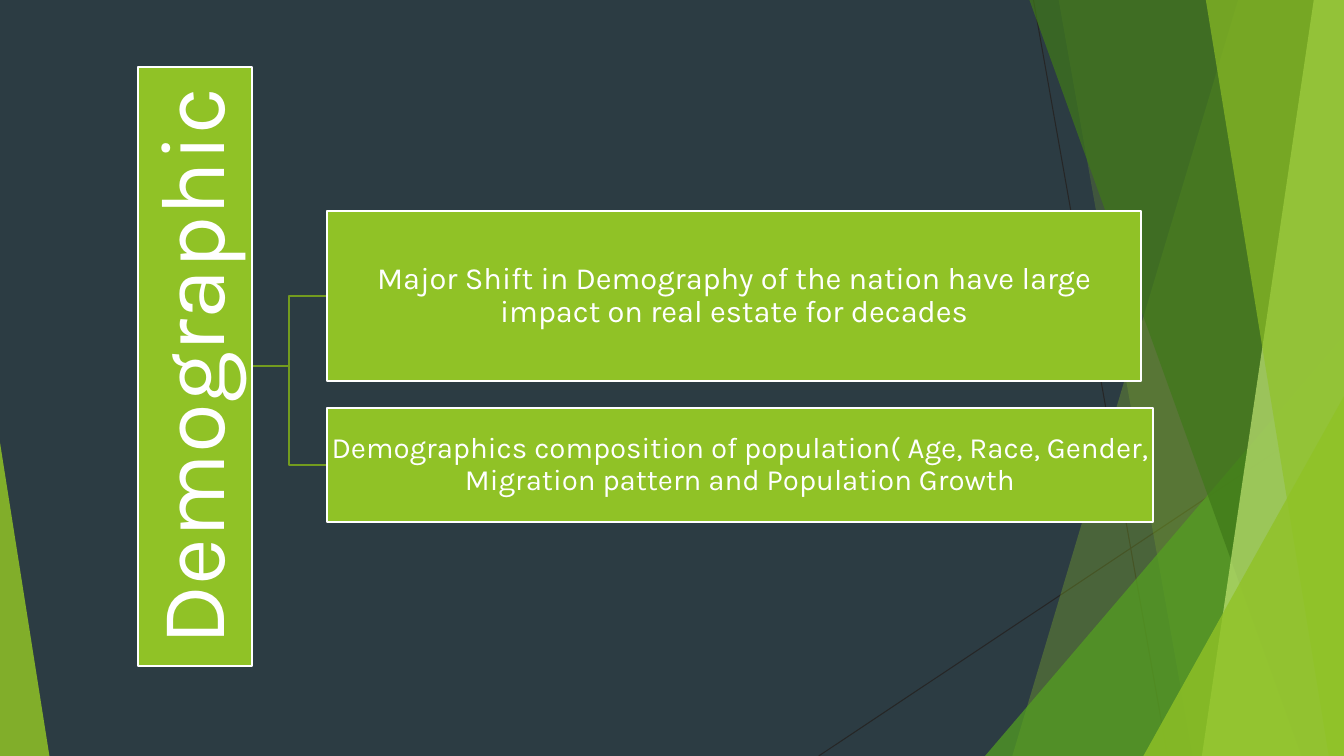
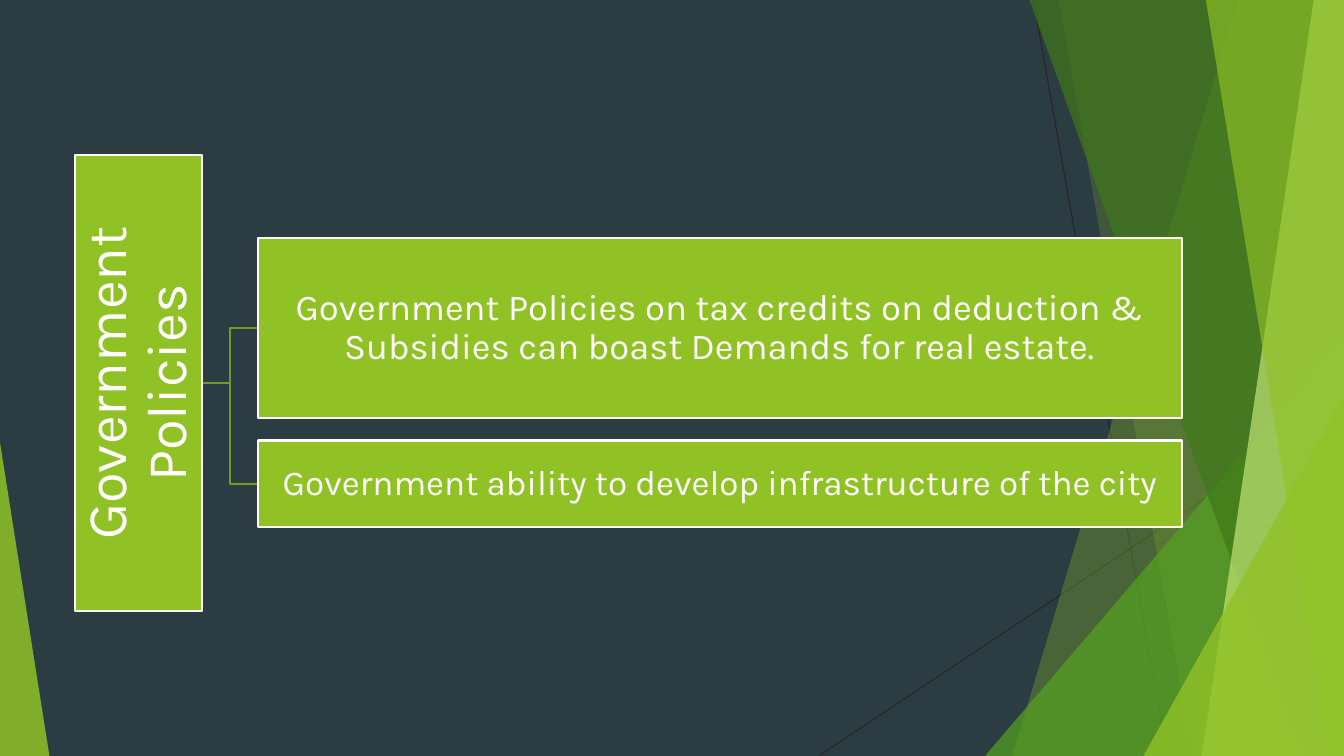
from lxml.etree import SubElement
from pptx import Presentation
from pptx.dml.color import RGBColor
from pptx.enum.shapes import MSO_CONNECTOR, MSO_SHAPE as Shape
from pptx.enum.text import MSO_ANCHOR as Anchor, PP_ALIGN as Align
from pptx.oxml.ns import qn
from pptx.util import Inches, Pt

# Shared style
WIDTH, HEIGHT = 13.33, 7.5
FONT = "Karla"
SLATE = RGBColor(0x2C, 0x3C, 0x43)
LIME = RGBColor(0x90, 0xC2, 0x26)
GREEN = RGBColor(0x54, 0xA0, 0x21)
FOREST = RGBColor(0x3F, 0x78, 0x19)
PALE = RGBColor(0xC0, 0xE4, 0x74)
OLIVE = RGBColor(0x73, 0x9B, 0x1E)
CHARCOAL = RGBColor(0x26, 0x26, 0x26)
WHITE = RGBColor(0xFF, 0xFF, 0xFF)

# Hierarchies: boxes are left, top, width, height as they appear
HIERARCHIES = [
    {
        "root": ("Demographic", (1.37, 0.66, 1.13, 5.95), 65, 0.05),
        "branches": [
            ("Major Shift in Demography of the nation have large impact "
             "on real estate for decades", (3.24, 2.09, 8.08, 1.69), 22, 0.02),
            ("Demographics composition of population( Age, Race, Gender, "
             "Migration pattern and Population Growth",
             (3.24, 4.05, 8.2, 1.13), 21, 0.01),
        ],
    },
    {
        "root": ("Government Policies", (0.74, 1.54, 1.26, 4.52), 40, 0.03),
        "branches": [
            ("Government Policies on tax credits on deduction & Subsidies "
             "can boast Demands for real estate.",
             (2.56, 2.36, 9.16, 1.79), 26, 0.02),
            ("Government ability to develop infrastructure of the city",
             (2.56, 4.37, 9.16, 0.86), 25, 0.02),
        ],
    },
]


def fill_glass(shape, color, opacity):
    """Fill a borderless shape with a see-through colour, opacity in percent."""
    shape.shadow.inherit = False
    shape.line.fill.background()
    shape.fill.solid()
    shape.fill.fore_color.rgb = color
    tint = shape._element.spPr.find(qn("a:solidFill"))[0]
    SubElement(tint, qn("a:alpha"), val=str(opacity * 1000))


def add_outline(page, points, close):
    corners = [(Inches(x), Inches(y)) for x, y in points]
    builder = page.shapes.build_freeform(*corners[0])
    builder.add_line_segments(corners[1:], close=close)
    return builder.convert_to_shape()


def add_band(page, top_x, bottom_x, color, opacity):
    """Add a band from a slanted left side to the right slide edge."""
    points = [(top_x, 0), (WIDTH, 0), (WIDTH, HEIGHT), (bottom_x, HEIGHT)]
    fill_glass(add_outline(page, points, close=True), color, opacity)


def add_wedge(page, left, top, width, apex, color, opacity):
    """Add a triangle that stands on the bottom slide edge."""
    wedge = page.shapes.add_shape(Shape.ISOSCELES_TRIANGLE, Inches(left), Inches(top),
                                  Inches(width), Inches(HEIGHT - top))
    wedge.adjustments[0] = apex
    fill_glass(wedge, color, opacity)


def add_hairline(page, *ends):
    line = page.shapes.add_connector(MSO_CONNECTOR.STRAIGHT, *map(Inches, ends))
    line.line.color.rgb = CHARCOAL
    line.line.width = Pt(0.75)
    SubElement(line._element.spPr, qn("a:effectLst"))


def add_backdrop(page):
    page.background.fill.solid()
    page.background.fill.fore_color.rgb = SLATE
    add_hairline(page, 10.25, 0, 11.58, HEIGHT)
    add_hairline(page, WIDTH, 4.03, 8.12, HEIGHT)
    add_band(page, 12.28, 10.04, LIME, 30)
    add_band(page, 10.5, 11.83, LIME, 20)
    add_wedge(page, 9.77, 3.33, 3.56, 1, GREEN, 72)
    add_band(page, 10.21, 12.91, FOREST, 70)
    add_band(page, 13.03, 11.92, PALE, 70)
    add_band(page, 11.96, 13.18, LIME, 65)
    add_wedge(page, 11.34, 3.93, 1.99, 1, LIME, 80)
    add_wedge(page, 0, 4.39, 0.49, 0, LIME, 85)


def write_text(shape, text, size, inset, color=WHITE, align=Align.CENTER):
    frame = shape.text_frame
    frame.word_wrap = True
    frame.vertical_anchor = Anchor.MIDDLE
    frame.margin_left = frame.margin_right = Inches(inset)
    frame.margin_top = frame.margin_bottom = Inches(inset)
    para = frame.paragraphs[0]
    para.alignment = align
    para.line_spacing = 0.9
    span = para.add_run()
    span.text = text
    span.font.name = FONT
    span.font.size = Pt(size)
    span.font.color.rgb = color


def add_node(page, text, place, size, inset, upright=False):
    left, top, width, height = place
    if upright:  # the frame is laid flat, then turned about its centre
        left, top = left + (width - height) / 2, top + (height - width) / 2
        width, height = height, width
    box = page.shapes.add_shape(Shape.RECTANGLE, Inches(left), Inches(top),
                                Inches(width), Inches(height))
    box.rotation = 270 if upright else 0
    box.shadow.inherit = False
    box.fill.solid()
    box.fill.fore_color.rgb = LIME
    box.line.color.rgb = WHITE
    box.line.width = Pt(1.5)
    write_text(box, text, size=size, inset=inset)


def add_elbow(page, parent, child):
    """Join the right side of the parent to the left side of the child."""
    start_x, start_y = parent[0] + parent[2], parent[1] + parent[3] / 2
    end_x, end_y = child[0], child[1] + child[3] / 2
    middle_x = (start_x + end_x) / 2
    elbow = add_outline(page, [(start_x, start_y), (middle_x, start_y),
                               (middle_x, end_y), (end_x, end_y)], close=False)
    elbow.shadow.inherit = False
    elbow.fill.background()
    elbow.line.color.rgb = OLIVE
    elbow.line.width = Pt(1.5)


def add_hierarchy(page, root, branches):
    for branch in reversed(branches):
        add_elbow(page, root[1], branch[1])
    add_node(page, *root, upright=True)
    for branch in branches:
        add_node(page, *branch)


def main():
    deck = Presentation()
    deck.slide_width, deck.slide_height = Inches(WIDTH), Inches(HEIGHT)
    for hierarchy in HIERARCHIES:
        page = deck.slides.add_slide(deck.slide_layouts[6])
        add_backdrop(page)
        add_hierarchy(page, **hierarchy)
    deck.save("out.pptx")


main()
